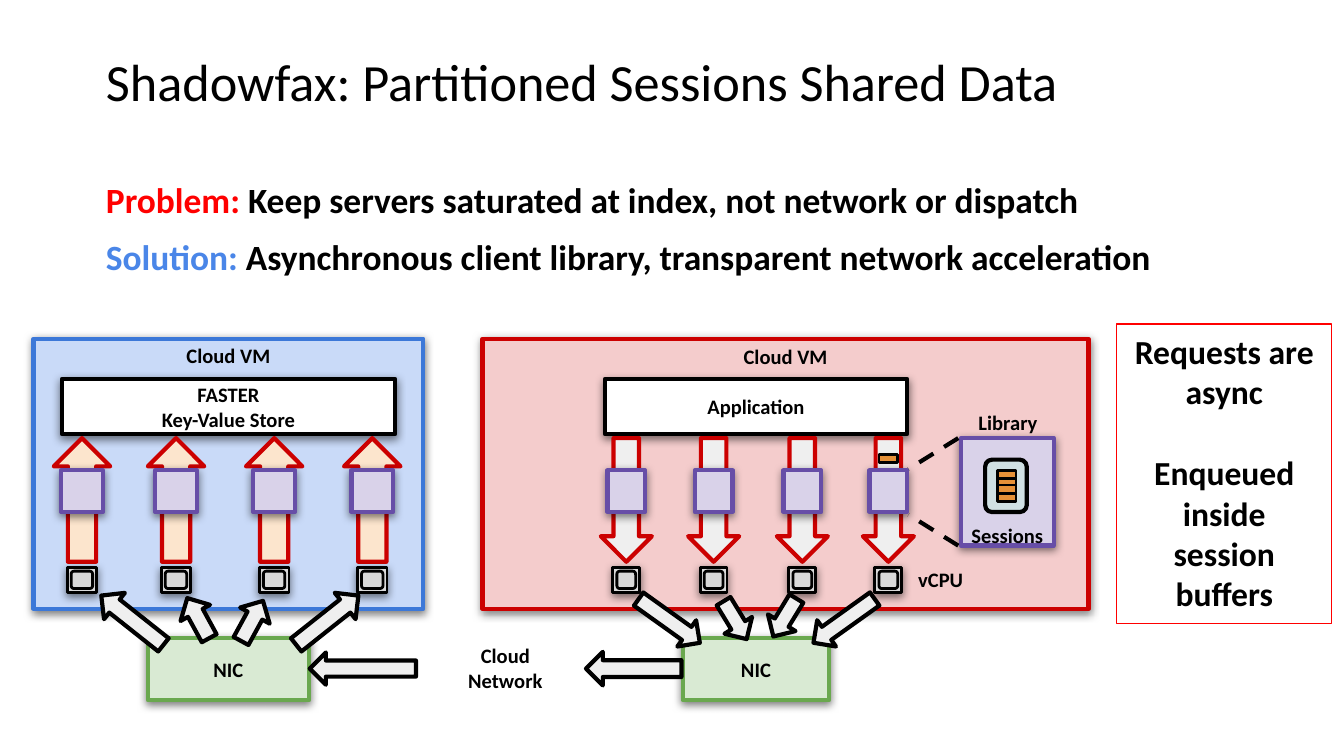
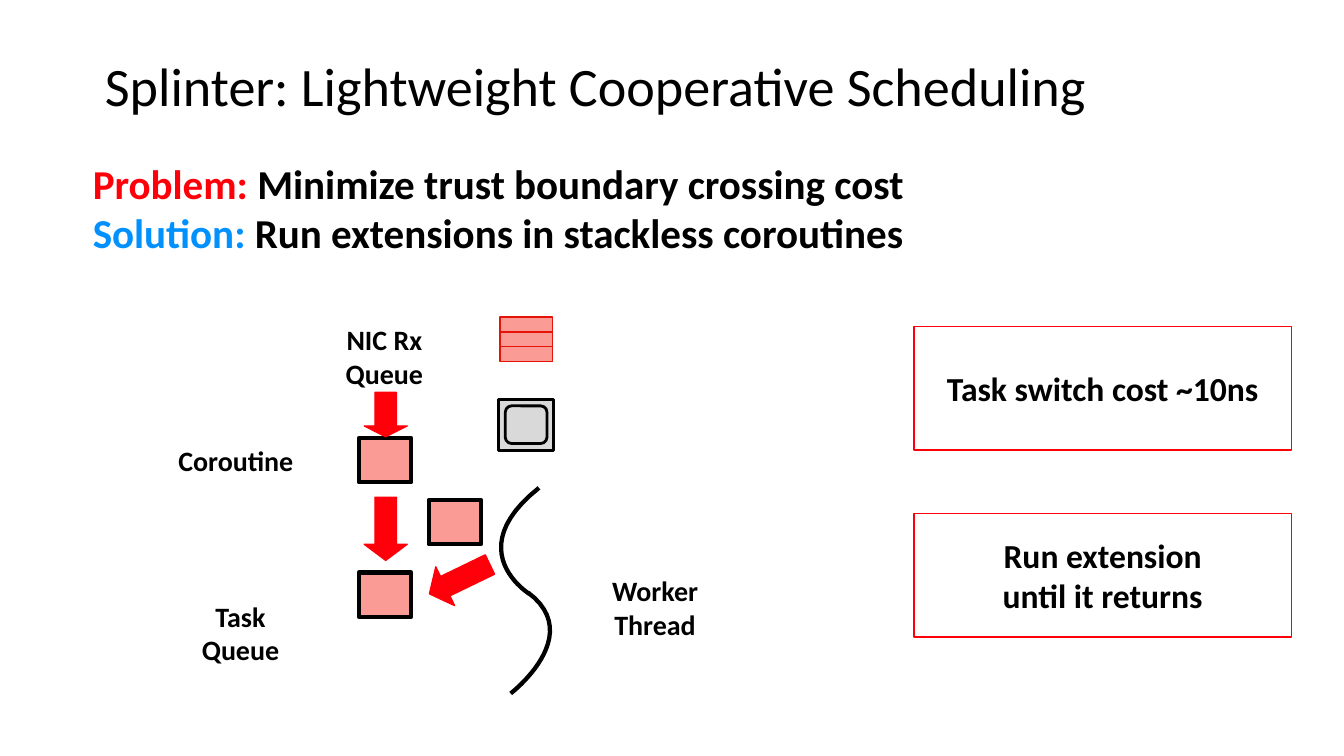
from lxml.etree import SubElement
from pptx import Presentation
from pptx.dml.color import RGBColor
from pptx.enum.dml import MSO_LINE
from pptx.enum.shapes import MSO_CONNECTOR, MSO_SHAPE as Kind
from pptx.enum.text import MSO_ANCHOR as Anchor, PP_ALIGN as Align
from pptx.oxml.ns import qn
from pptx.util import Emu, Pt

PX = 9144  # EMU per px, 100 px to the inch
FONT = "Calibri"

BLACK = RGBColor(0x00, 0x00, 0x00)
WHITE = RGBColor(0xFF, 0xFF, 0xFF)
RED = RGBColor(0xFF, 0x00, 0x00)
BLUE = RGBColor(0x4A, 0x86, 0xE8)
CORAL = RGBColor(0xFF, 0x00, 0x0A)
SKY = RGBColor(0x00, 0x91, 0xFF)
VM_BLUE = RGBColor(0xC9, 0xDA, 0xF8)
VM_EDGE = RGBColor(0x3C, 0x78, 0xD8)
ROSE = RGBColor(0xF4, 0xCC, 0xCC)
CRIMSON = RGBColor(0xCC, 0x00, 0x00)
PEACH = RGBColor(0xFC, 0xE5, 0xCD)
PALE = RGBColor(0xEF, 0xEF, 0xEF)
GRAY = RGBColor(0xD9, 0xD9, 0xD9)
LILAC = RGBColor(0xD9, 0xD2, 0xE9)
PURPLE = RGBColor(0x67, 0x4E, 0xA7)
MINT = RGBColor(0xD9, 0xEA, 0xD3)
GREEN = RGBColor(0x6A, 0xA8, 0x4F)
TEAL = RGBColor(0xD0, 0xE0, 0xE3)
ORANGE = RGBColor(0xE6, 0x91, 0x38)
PINK = RGBColor(0xFB, 0x9B, 0x96)
PINK_EDGE = RGBColor(0xE6, 0x14, 0x08)


def px(*nums):
    return [Emu(round(n * PX)) for n in nums]


def write(shape, paras, size=11, color=BLACK, bold=True, align=Align.CENTER,
          anchor=Anchor.MIDDLE, pad=(10, 0), lead=None, gap=0):
    """Fill a shape with paragraphs, each a string or a list of (text, color)."""
    frame = shape.text_frame
    frame.word_wrap = True
    frame.vertical_anchor = anchor
    frame.margin_left = frame.margin_right = px(pad[0])[0]
    frame.margin_top = frame.margin_bottom = px(pad[1])[0]
    for i, para in enumerate(paras):
        p = frame.add_paragraph() if i else frame.paragraphs[0]
        p.alignment = align
        if lead:
            p.line_spacing = lead
        if i and gap:
            p.space_before = Pt(gap)
        for text, tint in [(para, color)] if isinstance(para, str) else para:
            run = p.add_run()
            run.text = text
            font = run.font
            font.name, font.size, font.bold = FONT, Pt(size), bold
            font.color.rgb = tint


def bezier(a, b, c, d, steps=24):
    for i in range(steps + 1):
        t = i / steps
        u = 1 - t
        yield tuple(u**3 * p + 3 * u * u * t * q + 3 * u * t * t * r + t**3 * s
                    for p, q, r, s in zip(a, b, c, d))


class Deck:
    def __init__(self, wide):
        self.file = Presentation()
        self.file.slide_width, self.file.slide_height = px(wide, wide * 9 / 16)

    def start(self):
        self.shapes = self.file.slides.add_slide(self.file.slide_layouts[6]).shapes

    def paint(self, shape, fill, edge, width, shadow=False):
        shape.shadow.inherit = False
        if fill is None:
            shape.fill.background()
        else:
            shape.fill.solid()
            shape.fill.fore_color.rgb = fill
        shape.line.color.rgb = edge
        shape.line.width = Pt(width)
        if shadow:
            effects = shape._element.spPr.find(qn("a:effectLst"))
            cast = SubElement(effects, qn("a:outerShdw"), blurRad="57150", dist="19050",
                              dir="5400000", algn="bl", rotWithShape="0")
            tint = SubElement(cast, qn("a:srgbClr"), val="000000")
            SubElement(tint, qn("a:alpha"), val="50000")
        return shape

    def box(self, at, fill, edge=BLACK, width=2.25, shadow=False, kind=Kind.RECTANGLE,
            turn=0, text=None, **style):
        shape = self.shapes.add_shape(kind, *px(*at))
        shape.rotation = turn
        self.paint(shape, fill, edge, width, shadow)
        if text:
            write(shape, text, **style)
        return shape

    def label(self, at, *paras, **style):
        write(self.shapes.add_textbox(*px(*at)), paras, **style)

    def title(self, at, text, size, **style):
        self.label(at, text, size=size, bold=False, align=Align.LEFT, lead=0.9, **style)

    def claim(self, at, problem, answer, tints, **style):
        self.label(at, [("Problem: ", tints[0]), (problem, BLACK)],
                   [("Solution: ", tints[1]), (answer, BLACK)],
                   align=Align.LEFT, anchor=Anchor.TOP, **style)

    def arrow(self, at, turn=0, fill=PALE, edge=BLACK):
        self.box(at, fill, edge, kind=Kind.DOWN_ARROW, turn=turn)

    def chip(self, x, y, w, h, inset, shadow=False):
        """Draw a CPU: a square with a rounded core."""
        case = self.box((x, y, w, h), GRAY, width=1.5, shadow=shadow)
        core = self.box((x + inset, y + inset, w - 2 * inset, h - 2 * inset), GRAY,
                        width=1.5, kind=Kind.ROUNDED_RECTANGLE)
        self.shapes.add_group_shape([case, core])

    def lanes(self, mids, arrow, node, chip, turn, fill):
        """Draw one column per middle: arrow, session node and CPU."""
        for mid in mids:
            self.arrow((mid - arrow / 2, 326, arrow, 92), turn, fill, CRIMSON)
            self.box((mid - node / 2, 350, node, 31), LILAC, PURPLE, shadow=True)
            self.chip(mid - chip / 2, 422, chip, 19, 3, shadow=True)

    def dash(self, x1, y1, x2, y2):
        line = self.shapes.add_connector(MSO_CONNECTOR.STRAIGHT, *px(x1, y1, x2, y2))
        line.line.color.rgb = BLACK
        line.line.width = Pt(2.25)
        line.line.dash_style = MSO_LINE.DASH
        SubElement(line._element.spPr, qn("a:effectLst"))

    def trace(self, points, close, fill, edge, width):
        first, *rest = [px(*point) for point in points]
        pen = self.shapes.build_freeform(*first, scale=1.0)
        pen.add_line_segments(rest, close=close)
        return self.paint(pen.convert_to_shape(), fill, edge, width)

    def block(self, mid, top, high, head, turn=0):
        """Draw a solid red arrow that points down before it is turned."""
        neck, tip = top + high - head, top + high
        points = [(mid + 8, top), (mid + 8, neck), (mid + 16, neck), (mid, tip),
                  (mid - 16, neck), (mid - 8, neck), (mid - 8, top)]
        self.trace(points, True, CORAL, CORAL, 0.75).rotation = turn


def sessions(deck):
    deck.start()
    deck.title((69, 22, 862, 82), "Shadowfax: Partitioned Sessions Shared Data", 28)
    deck.claim((69, 131, 862, 74),
               "Keep servers saturated at index, not network or dispatch",
               "Asynchronous client library, transparent network acceleration",
               (RED, BLUE), size=19, pad=(10, 5), lead=0.9, gap=10)

    for x, wide, fill, edge, drop in ((25, 290, VM_BLUE, VM_EDGE, 3),
                                      (359, 451, ROSE, CRIMSON, 4)):
        deck.box((x, 252, wide, 201), fill, edge, shadow=True, text=["Cloud VM"],
                 anchor=Anchor.TOP, pad=(10, drop))
    for x, wide, text in ((46, 248, ["FASTER", "Key-Value Store"]),
                          (450, 225, ["Application"])):
        deck.box((x, 282, wide, 41), WHITE, shadow=True, text=text)
    for x, wide in ((110, 120), (508, 109)):
        deck.box((x, 475, wide, 46), MINT, GREEN, shadow=True, text=["NIC"])

    deck.lanes((61, 131, 204, 277), 42, 31, 22, 180, PEACH)
    deck.lanes((466, 531, 597, 661), 38, 28, 20, 0, PALE)
    deck.box((654, 338, 14, 6), ORANGE, width=1.5)

    for *at, turn in (
            (258, 458, 24, 79, 90), (459, 462, 25, 71, 90),
            (86, 432, 25, 59, 128.4), (135, 443, 25, 34, 151.3),
            (175, 445, 25, 34, 208.7), (231, 432, 25, 59, 231.6),
            (486, 434, 24, 56, 305.6), (535, 445, 24, 33, 328.7),
            (572, 443, 24, 33, 31.3), (616, 434, 24, 56, 54.4)):
        deck.arrow(at, turn)

    deck.box((715, 326, 69, 80), LILAC, PURPLE, shadow=True)
    store = [deck.box((733, 342, 31, 39), TEAL, kind=Kind.ROUNDED_RECTANGLE)]
    store += [deck.box((742, round(350 + i * 17 / 3), 14, 6), ORANGE, width=1.5)
              for i in range(4)]
    deck.shapes.add_group_shape(store)
    deck.dash(713, 406, 676, 383)
    deck.dash(713, 326, 676, 349)

    deck.label((706, 299, 88, 30), "Library")
    deck.label((710, 389, 79, 19), "Sessions")
    deck.label((658, 416, 84, 30), "vCPU")
    deck.label((334, 482, 84, 30), "Cloud", "Network")
    deck.box((831, 241, 160, 223), None, RED, 0.75, size=18, anchor=Anchor.TOP,
             pad=(10, 5), gap=22,
             text=["Requests are async", "Enqueued inside session buffers"])


def tasks(deck):
    deck.start()
    deck.title((69, 12, 862, 109), "Splinter: Lightweight Cooperative Scheduling", 29,
               pad=(9, 5))
    deck.claim((69, 118, 862, 357), "Minimize trust boundary crossing cost",
               "Run extensions in stackless coroutines", (CORAL, SKY), size=22, pad=(0, 0))

    rows = [deck.box((372, y, 39, 11), PINK, PINK_EDGE, 0.75) for y in (258, 247, 236)]
    deck.shapes.add_group_shape(rows)
    for x, y in ((267, 326), (267, 426), (319, 372)):
        deck.box((x, y, 39, 33), PINK, width=2.3)
    deck.block(287, 292, 33, 8)
    deck.block(287, 370, 47, 12)
    deck.block(342, 406, 50, 13, turn=64.1)
    deck.chip(371, 297, 41, 38, 5)

    thread = (((401, 363), (342, 410), (394, 442), (394, 442)),
              ((393, 441), (436, 473), (380, 516), (380, 516)))
    deck.shapes.add_group_shape(
        [deck.trace(bezier(*curve), False, None, BLACK, 2.3) for curve in thread])

    for x, y, wide, text in ((220, 236, 132, "NIC Rx Queue"), (122, 326, 107, "Coroutine"),
                             (122, 442, 114, "Task Queue"), (416, 423, 143, "Worker Thread")):
        deck.label((x, y, wide, 33), text, size=15, anchor=Anchor.TOP, pad=(9, 4))
    for y, text in ((243, ["Task switch cost ~10ns"]),
                    (382, ["Run extension", "until it returns"])):
        deck.box((680, y, 281, 92), WHITE, CORAL, 0.75, text=text, size=18)


def main():
    deck = Deck(1000)
    sessions(deck)
    tasks(deck)
    deck.file.save("out.pptx")


if __name__ == "__main__":
    main()
